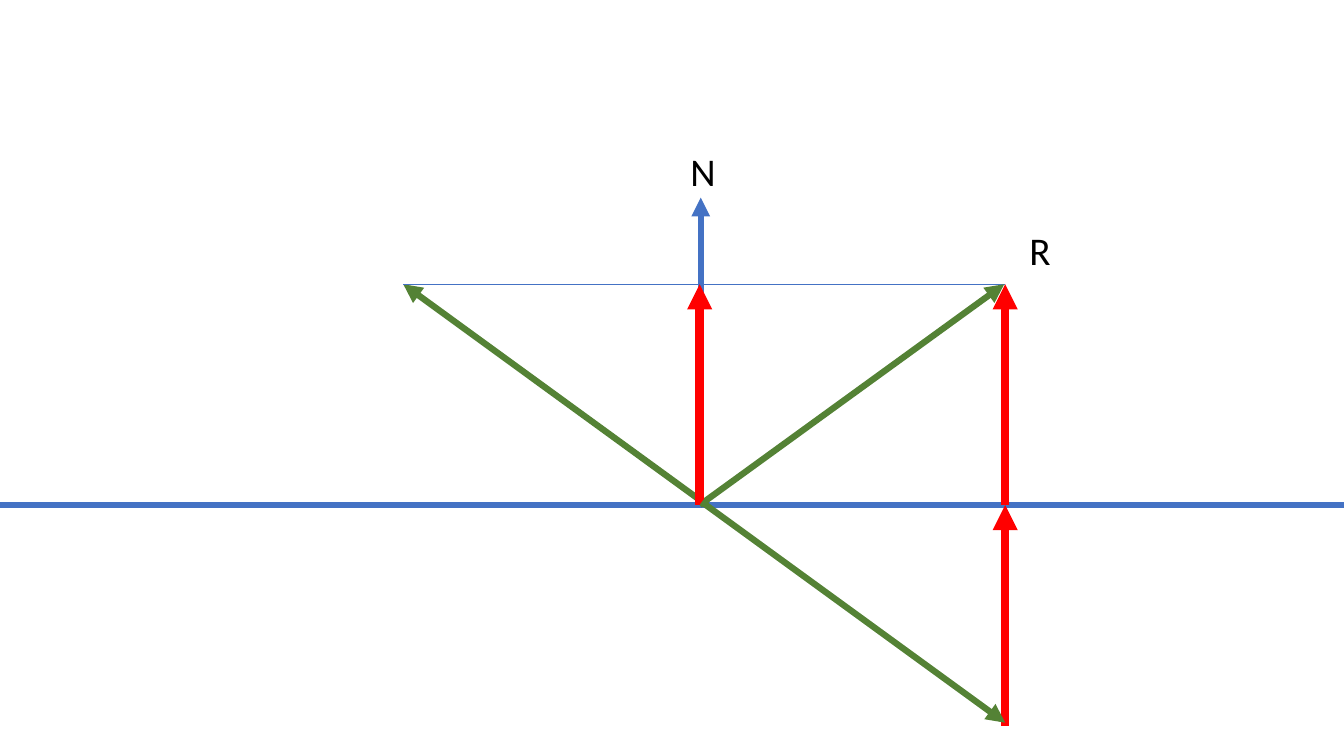
from lxml import etree
from pptx import Presentation
from pptx.dml.color import RGBColor
from pptx.enum import shapes, text
from pptx.oxml.ns import qn
from pptx.util import Inches, Pt

BLUE = RGBColor(0x44, 0x72, 0xC4)
GREEN = RGBColor(0x54, 0x82, 0x35)
RED = RGBColor(0xFF, 0, 0)
BLACK = RGBColor(0, 0, 0)

WIDTH, HEIGHT = 13.33, 7.5
SURFACE = 5.01
RISE = 2.19
TOP = SURFACE - RISE
LEFT, CENTER, RIGHT = 4, 6.94, 9.97


class Diagram:
    font = "Calibri"
    size = Pt(28)

    def __init__(self, slide):
        self.s = slide

    def line(self, start, end, color, width):
        points = [Inches(v) for v in (*start, *end)]
        sp = self.s.shapes.add_connector(shapes.MSO_CONNECTOR.STRAIGHT, *points)
        sp.line.color.rgb = color
        sp.line.width = Pt(width)
        etree.SubElement(sp._element.spPr, qn("a:effectLst"))
        return sp

    def arrow(self, start, end, color, width):
        sp = self.line(start, end, color, width)
        ln = sp.line._get_or_add_ln()
        etree.SubElement(ln, qn("a:tailEnd"), type="triangle")

    def label(self, caption, left, top):
        sp = self.s.shapes.add_textbox(
            Inches(left), Inches(top), Inches(0.99), Inches(0.57))
        tf = sp.text_frame
        tf.word_wrap = True
        tf.auto_size = text.MSO_AUTO_SIZE.SHAPE_TO_FIT_TEXT
        tf.text = caption
        r = tf.paragraphs[0].runs[0]
        r.font.name = self.font
        r.font.size = self.size
        r.font.color.rgb = BLACK


def main():
    prs = Presentation()
    prs.slide_width, prs.slide_height = Inches(WIDTH), Inches(HEIGHT)
    d = Diagram(prs.slides.add_slide(prs.slide_layouts[6]))

    d.line((0, SURFACE), (WIDTH, SURFACE), BLUE, 4.5)
    d.arrow((6.95, SURFACE), (6.95, 1.96), BLUE, 4.5)
    d.arrow((7.01, SURFACE), (LEFT, TOP), GREEN, 4.5)
    d.label("N", 6.75, 1.41)
    d.label("R", 10.11, 2.2)
    d.line((LEFT, TOP), (RIGHT, TOP), BLUE, 0.5)
    d.arrow((CENTER, SURFACE), (9.96, TOP), GREEN, 4.5)
    for x, base in ((CENTER, SURFACE), (RIGHT, SURFACE), (RIGHT, SURFACE + RISE)):
        d.arrow((x, base), (x, base - RISE), RED, 6)
    d.arrow((6.96, 4.98), (RIGHT, 4.98 + RISE), GREEN, 4.5)

    prs.save("out.pptx")


if __name__ == "__main__":
    main()
